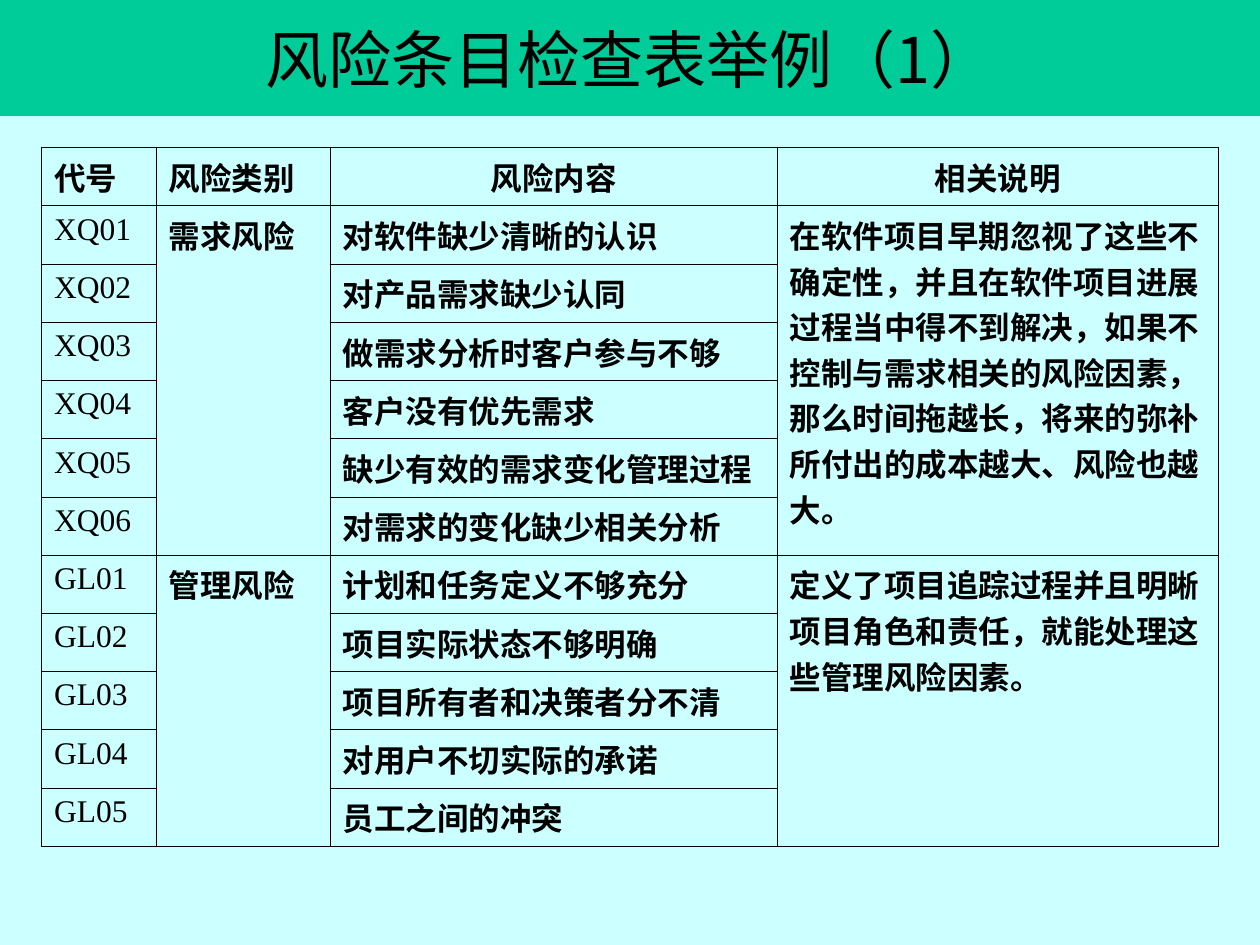
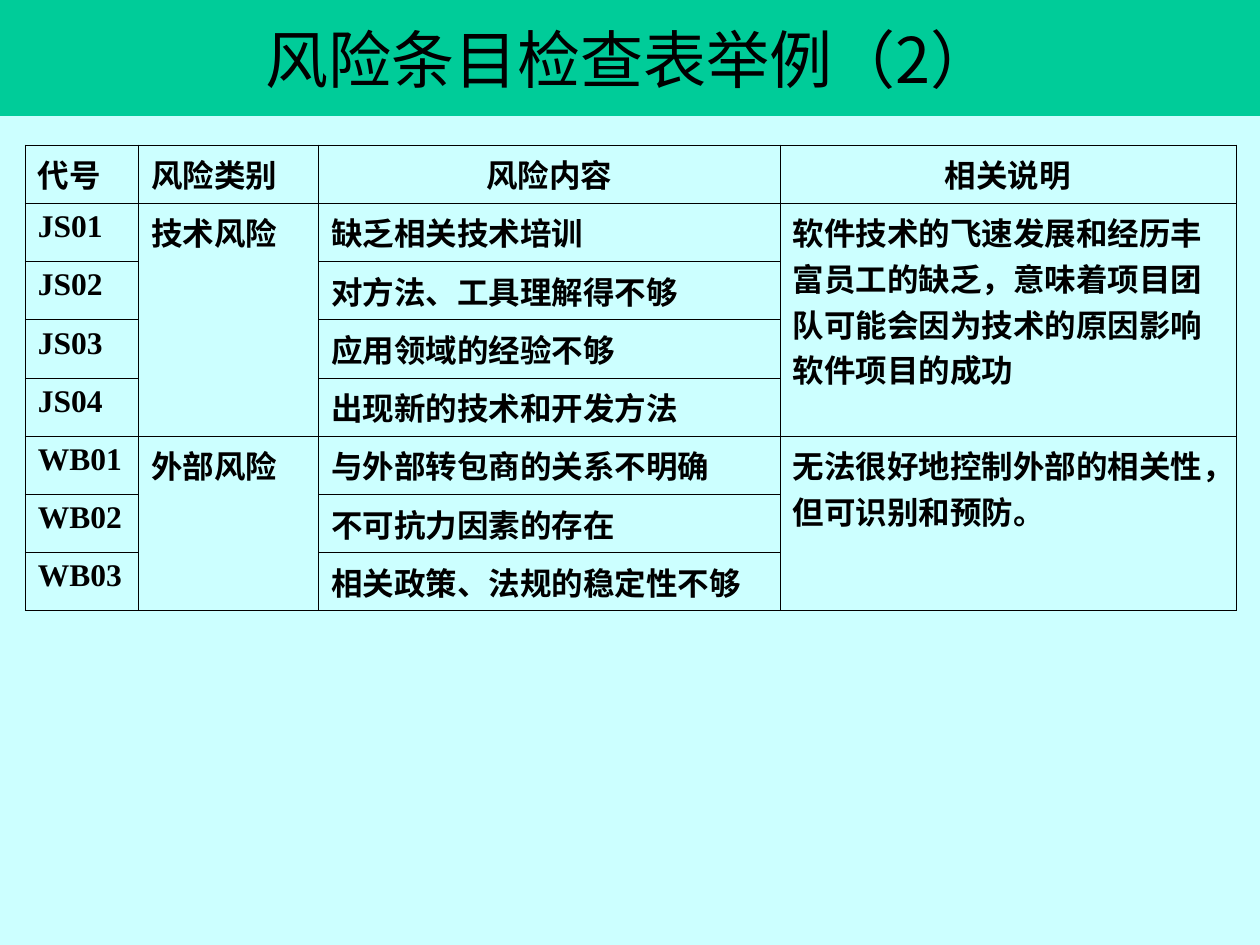
from dataclasses import dataclass

from lxml.etree import SubElement
from pptx import Presentation
from pptx.dml.color import RGBColor
from pptx.enum.text import MSO_ANCHOR, MSO_AUTO_SIZE, PP_ALIGN
from pptx.oxml.ns import qn
from pptx.util import Inches, Pt


@dataclass(frozen=True)
class Theme:
    background: str = "CCFFFF"
    band: str = "00CC99"
    ink: str = "000000"
    title_font: str = "Noto Sans CJK SC"
    latin_font: str = "Times New Roman"
    title_size: float = 36
    table_size: float = 18
    border_width: float = 0.45


@dataclass(frozen=True)
class RiskGroup:
    prefix: str
    category: str
    risks: tuple[str, ...]
    note: str


@dataclass(frozen=True)
class Checklist:
    title: str
    left: float
    top: float
    widths: tuple[float, ...]
    groups: tuple[RiskGroup, ...]
    bold_codes: bool


THEME = Theme()
ROW_HEIGHT = 0.4
HEADERS = ("代号", "风险类别", "风险内容", "相关说明")

CHECKLISTS = (
    Checklist(
        "风险条目检查表举例（1）", 0.33, 1.17, (0.91, 1.38, 3.55, 3.5),
        (
            RiskGroup(
                "XQ", "需求风险",
                (
                    "对软件缺少清晰的认识",
                    "对产品需求缺少认同",
                    "做需求分析时客户参与不够",
                    "客户没有优先需求",
                    "缺少有效的需求变化管理过程",
                    "对需求的变化缺少相关分析",
                ),
                "在软件项目早期忽视了这些不确定性，并且在软件项目进展过程当中得不到解决，"
                "如果不控制与需求相关的风险因素，那么时间拖越长，"
                "将来的弥补所付出的成本越大、风险也越大。",
            ),
            RiskGroup(
                "GL", "管理风险",
                (
                    "计划和任务定义不够充分",
                    "项目实际状态不够明确",
                    "项目所有者和决策者分不清",
                    "对用户不切实际的承诺",
                    "员工之间的冲突",
                ),
                "定义了项目追踪过程并且明晰项目角色和责任，就能处理这些管理风险因素。",
            ),
        ),
        bold_codes=False,
    ),
    Checklist(
        "风险条目检查表举例（2）", 0.2, 1.15, (0.9, 1.43, 3.66, 3.62),
        (
            RiskGroup(
                "JS", "技术风险",
                (
                    "缺乏相关技术培训",
                    "对方法、工具理解得不够",
                    "应用领域的经验不够",
                    "出现新的技术和开发方法",
                ),
                "软件技术的飞速发展和经历丰富员工的缺乏，"
                "意味着项目团队可能会因为技术的原因影响软件项目的成功",
            ),
            RiskGroup(
                "WB", "外部风险",
                (
                    "与外部转包商的关系不明确",
                    "不可抗力因素的存在",
                    "相关政策、法规的稳定性不够",
                ),
                "无法很好地控制外部的相关性，但可识别和预防。",
            ),
        ),
        bold_codes=True,
    ),
)


def write_text(tf, text: str, *, size: float = THEME.table_size,
               font: str = THEME.latin_font, bold: bool = True,
               align: PP_ALIGN = PP_ALIGN.LEFT) -> None:
    p = tf.paragraphs[0]
    p.alignment = align
    r = p.add_run()
    r.text = text
    r.font.size = Pt(size)
    r.font.bold = bold
    r.font.name = font
    r.font.color.rgb = RGBColor.from_string(THEME.ink)
    # Chinese characters take the East Asian typeface
    SubElement(r.font._element, qn("a:ea"), typeface=THEME.title_font)


def add_title(s, text: str) -> None:
    sp = s.shapes.title
    sp.left, sp.top = Inches(0), Inches(0)
    sp.width, sp.height = Inches(10), Inches(0.92)
    sp.fill.solid()
    sp.fill.fore_color.rgb = RGBColor.from_string(THEME.band)
    tf = sp.text_frame
    tf.auto_size = MSO_AUTO_SIZE.NONE
    tf.vertical_anchor = MSO_ANCHOR.MIDDLE
    write_text(tf, text, size=THEME.title_size, font=THEME.title_font,
               bold=False, align=PP_ALIGN.CENTER)


def style_cell(cell) -> None:
    tc_pr = cell._tc.get_or_add_tcPr()
    for side in ("lnL", "lnR", "lnT", "lnB"):
        line = SubElement(tc_pr, qn(f"a:{side}"), w=str(Pt(THEME.border_width)))
        fill = SubElement(line, qn("a:solidFill"))
        SubElement(fill, qn("a:srgbClr"), val=THEME.ink)
    cell.fill.background()


def add_checklist(s, data: Checklist) -> None:
    row_count = 1 + sum(len(g.risks) for g in data.groups)
    table = s.shapes.add_table(
        row_count, len(HEADERS), Inches(data.left), Inches(data.top),
        Inches(sum(data.widths)), Inches(ROW_HEIGHT * row_count)).table
    table.first_row = table.horz_banding = False
    for column, width in zip(table.columns, data.widths):
        column.width = Inches(width)
    for row in table.rows:
        row.height = Inches(ROW_HEIGHT)
    for cell in table.iter_cells():
        style_cell(cell)

    # Header row: the two wide columns are centred
    for col, header in enumerate(HEADERS):
        write_text(table.cell(0, col).text_frame, header,
                   align=PP_ALIGN.CENTER if col >= 2 else PP_ALIGN.LEFT)

    # Each group spans its rows in the category and note columns
    first = 1
    for group in data.groups:
        last = first + len(group.risks) - 1
        for col, text in ((1, group.category), (3, group.note)):
            table.cell(first, col).merge(table.cell(last, col))
            write_text(table.cell(first, col).text_frame, text)
        for number, risk in enumerate(group.risks, start=1):
            row = first + number - 1
            write_text(table.cell(row, 0).text_frame,
                       f"{group.prefix}{number:02}", bold=data.bold_codes)
            write_text(table.cell(row, 2).text_frame, risk)
        first = last + 1


def main() -> None:
    prs = Presentation()
    prs.slide_width, prs.slide_height = Inches(10), Inches(7.5)
    background = prs.slide_master.background.fill
    background.solid()
    background.fore_color.rgb = RGBColor.from_string(THEME.background)
    title_only = prs.slide_layouts[5]
    for data in CHECKLISTS:
        s = prs.slides.add_slide(title_only)
        add_title(s, data.title)
        add_checklist(s, data)
    prs.save("out.pptx")


if __name__ == "__main__":
    main()
